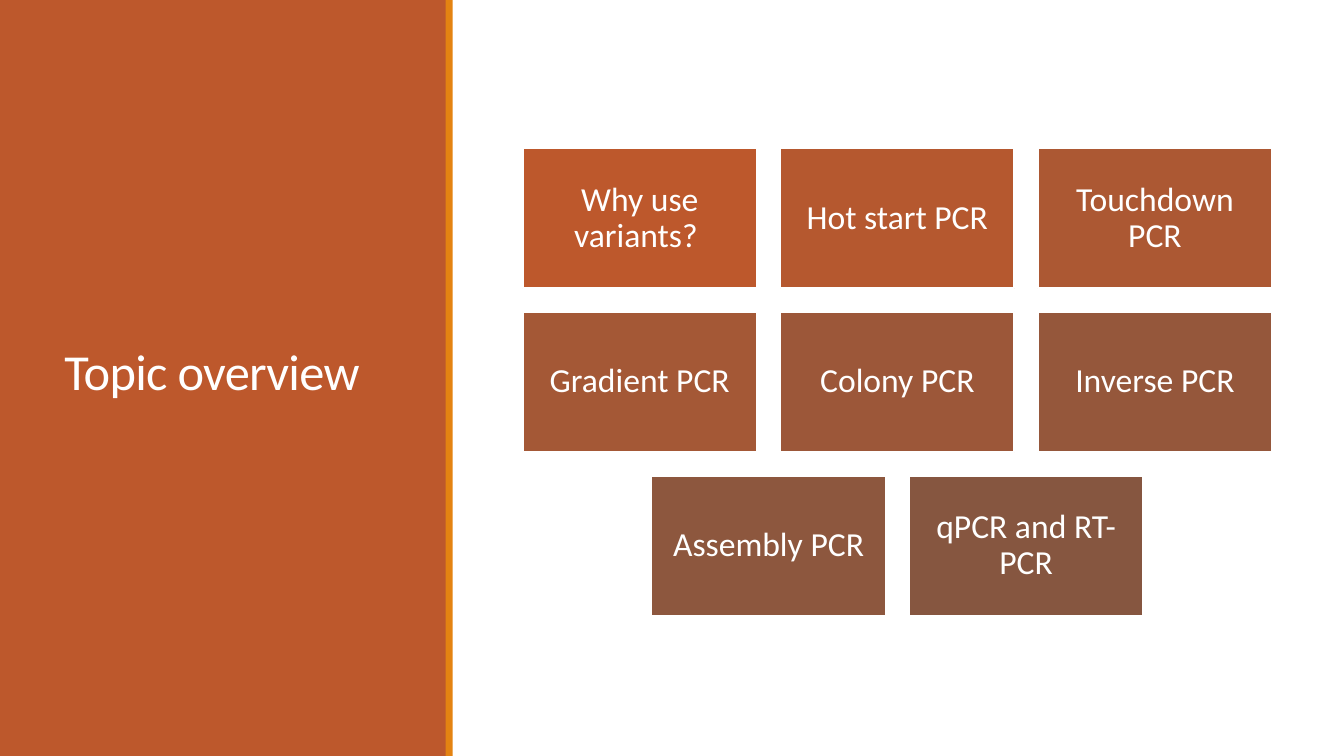
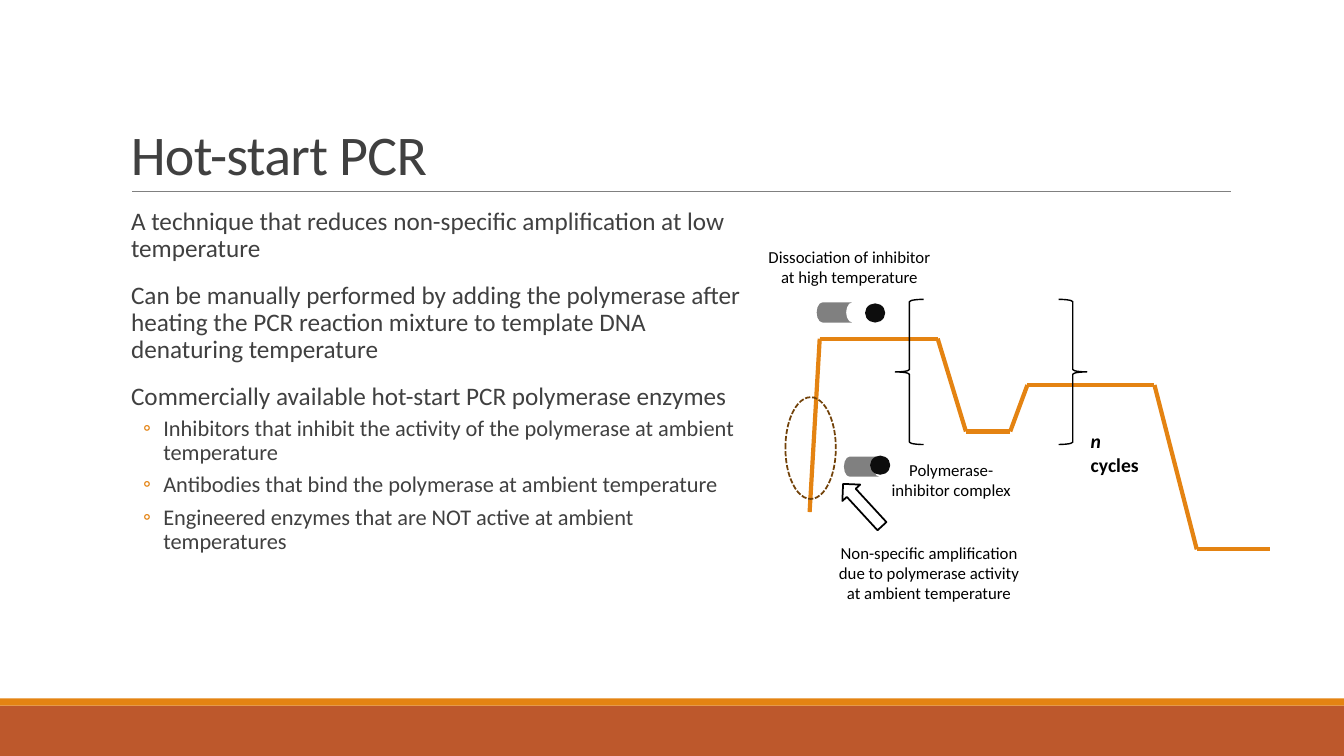
from itertools import pairwise

from lxml import etree
from pptx import Presentation, util as u
from pptx.dml.color import RGBColor
from pptx.enum import dml, shapes, text
from pptx.oxml.ns import qn

WIDTH, HEIGHT = 13.33, 7.5
FONT = "Calibri"
RUST = RGBColor(0xBD, 0x58, 0x2C)
ORANGE = RGBColor(0xE4, 0x83, 0x12)
BROWN = RGBColor(0x72, 0x42, 0x09)
WHITE = RGBColor(0xFF, 0xFF, 0xFF)
BLACK = RGBColor(0, 0, 0)
INK = RGBColor(0x40, 0x40, 0x40)
GREY = RGBColor(0x80, 0x80, 0x80)
NEAR_BLACK = RGBColor(0x0D, 0x0D, 0x0D)

KIND = shapes.MSO_SHAPE
CENTER = text.PP_ALIGN.CENTER
MIDDLE = text.MSO_ANCHOR.MIDDLE
BOTTOM = text.MSO_ANCHOR.BOTTOM

# Slide 1 content
TOPIC_ROWS = [
    [("Why use variants? ", RUST),
     ("Hot start PCR", RGBColor(0xB5, 0x58, 0x2F)),
     ("Touchdown PCR", RGBColor(0xAC, 0x58, 0x33))],
    [("Gradient PCR", RGBColor(0xA4, 0x58, 0x36)),
     ("Colony PCR", RGBColor(0x9C, 0x57, 0x39)),
     ("Inverse PCR", RGBColor(0x95, 0x57, 0x3B))],
    [("Assembly PCR", RGBColor(0x8D, 0x57, 0x3E)),
     ("qPCR and RT-PCR", RGBColor(0x86, 0x56, 0x40))],
]
GRID_CENTER, GRID_TOP = 8.9, 1.47
TILE_W, TILE_H, TILE_GAP = 2.32, 1.39, 0.235

# Slide 2 content: (level, text)
HOT_START_POINTS = [
    (0, "A technique that reduces non-specific amplification at low temperature"),
    (0, "Can be manually performed by adding the polymerase after heating the "
        "PCR reaction mixture to template DNA denaturing temperature"),
    (0, "Commercially available hot-start PCR polymerase enzymes"),
    (1, "Inhibitors that inhibit the activity of the polymerase at ambient temperature"),
    (1, "Antibodies that bind the polymerase at ambient temperature"),
    (1, "Engineered enzymes that are NOT active at ambient temperatures"),
]
LEVELS = [
    {"size": 18, "before": 12, "after": 2, "margin": 0.1, "indent": 0},
    {"size": 16, "before": 2, "after": 4, "margin": 0.42, "indent": -0.2, "bullet": "◦"},
]
TEMPERATURE_CURVE = [
    (8.03, 5.08), (8.13, 3.36), (8.86, 3.36), (9.3, 3.36), (9.58, 4.28), (10.02, 4.28),
    (10.19, 3.82), (11.45, 3.82), (11.87, 5.45), (12.6, 5.45),
]
CAPTIONS = [
    ("Non-specific amplification due to polymerase activity at ambient temperature",
     (8.21, 5.33, 2.01, 0.71)),
    ("Polymerase-inhibitor complex", (8.65, 4.51, 1.57, 0.5)),
    ("Dissociation of inhibitor at high temperature", (7.49, 2.4, 1.87, 0.5)),
]
# Left and top of the polymerase, then of its inhibitor
ENZYMES = [((8.37, 4.53), (8.63, 4.52)), ((8.1, 3), (8.58, 3.01))]


def inches(values):
    return [u.Inches(value) for value in values]


def add_figure(slide, kind, box, fill=None, line=None, weight=1.25):
    figure = slide.shapes.add_shape(kind, *inches(box))
    figure.shadow.inherit = False
    if fill is None:
        figure.fill.background()
    else:
        figure.fill.solid()
        figure.fill.fore_color.rgb = fill
    if line is None:
        figure.line.fill.background()
    else:
        figure.line.color.rgb = line
        figure.line.width = u.Pt(weight)
    return figure


def add_line(slide, start, end, color, weight):
    line = slide.shapes.add_connector(
        shapes.MSO_CONNECTOR.STRAIGHT, *inches(start + end))
    line.line.color.rgb = color
    line.line.width = u.Pt(weight)
    etree.SubElement(line._element.spPr, qn("a:effectLst"))


def add_frame(slide, box, anchor=text.MSO_ANCHOR.TOP):
    frame = slide.shapes.add_textbox(*inches(box)).text_frame
    frame.word_wrap = True
    frame.vertical_anchor = anchor
    return frame


def write(paragraph, wording, size, color, spacing=None, **formats):
    """Add a run; formats are font attributes such as bold or italic."""
    run = paragraph.add_run()
    run.text = wording
    formats = {"name": FONT, "size": u.Pt(size), **formats}
    for name, value in formats.items():
        setattr(run.font, name, value)
    run.font.color.rgb = color
    if spacing:
        run.font._element.set("spc", str(spacing))


def add_title(slide, wording, box, size, color, anchor):
    paragraph = add_frame(slide, box, anchor).paragraphs[0]
    paragraph.line_spacing = 0.85
    write(paragraph, wording, size, color, spacing=-50)


def add_bands(slide, main_box, edge_box):
    """Draw the rust band and its orange edge."""
    for box, color in ((main_box, RUST), (edge_box, ORANGE)):
        add_figure(slide, KIND.RECTANGLE, box, color)


def indent(paragraph, level):
    properties = paragraph._p.get_or_add_pPr()
    for name, value in (("marL", level["margin"]), ("indent", level["indent"])):
        properties.set(name, str(u.Inches(value)))
    if "bullet" in level:
        color = etree.SubElement(properties, qn("a:buClr"))
        etree.SubElement(color, qn("a:srgbClr"), val=str(ORANGE))
        etree.SubElement(properties, qn("a:buFont"), typeface=FONT)
        etree.SubElement(properties, qn("a:buChar"), char=level["bullet"])


def build_overview(slide):
    add_bands(slide, (0, 0, 4.43, HEIGHT), (4.42, 0, 0.07, HEIGHT))
    add_title(slide, "Topic overview", (0.54, 0.57, 3.37, 6.31), 36, WHITE, MIDDLE)
    for row, topics in enumerate(TOPIC_ROWS):
        row_width = len(topics) * (TILE_W + TILE_GAP) - TILE_GAP
        left = GRID_CENTER - row_width / 2
        top = GRID_TOP + row * (TILE_H + TILE_GAP)
        for column, (topic, color) in enumerate(topics):
            box = (left + column * (TILE_W + TILE_GAP), top, TILE_W, TILE_H)
            tile = add_figure(slide, KIND.RECTANGLE, box, color, WHITE)
            frame = tile.text_frame
            frame.word_wrap = True
            frame.vertical_anchor = MIDDLE
            for side in ("left", "top", "right", "bottom"):
                setattr(frame, f"margin_{side}", u.Inches(0.1))
            paragraph = frame.paragraphs[0]
            paragraph.alignment = CENTER
            paragraph.line_spacing = 0.9
            write(paragraph, topic, 24, WHITE)


def add_points(slide):
    frame = add_frame(slide, (1.2, 2.02, 6.29, 4.4))
    frame.margin_left = frame.margin_right = 0
    for number, (depth, wording) in enumerate(HOT_START_POINTS):
        paragraph = frame.add_paragraph() if number else frame.paragraphs[0]
        level = LEVELS[depth]
        formats = {"level": depth, "line_spacing": 0.9,
                   "space_before": u.Pt(level["before"]),
                   "space_after": u.Pt(level["after"])}
        for name, value in formats.items():
            setattr(paragraph, name, value)
        indent(paragraph, level)
        write(paragraph, wording, level["size"], INK)


def add_cycle_diagram(slide):
    for start, end in pairwise(TEMPERATURE_CURVE):
        add_line(slide, start, end, ORANGE, 3)
    for brace, left in ((KIND.LEFT_BRACE, 8.88), (KIND.RIGHT_BRACE, 10.5)):
        add_figure(slide, brace, (left, 2.97, 0.28, 1.44), line=BLACK, weight=1)

    cycles = add_frame(slide, (10.72, 4.21, 0.76, 0.57)).paragraphs[0]
    write(cycles, "n ", 14, BLACK, bold=True, italic=True)
    write(cycles, "cycles", 14, BLACK, bold=True)

    ambient_zone = add_figure(slide, KIND.OVAL, (7.79, 3.94, 0.5, 1.01), line=BROWN)
    ambient_zone.line.dash_style = dml.MSO_LINE.SQUARE_DOT
    pointer = add_figure(slide, KIND.RIGHT_ARROW, (8.27, 4.89, 0.57, 0.24), line=BLACK)
    pointer.rotation = 227.4

    for wording, box in CAPTIONS:
        caption = add_frame(slide, box).paragraphs[0]
        caption.alignment = CENTER
        write(caption, wording, 12, BLACK)
    for polymerase, inhibitor in ENZYMES:
        add_figure(slide, KIND.FLOWCHART_STORED_DATA, polymerase + (0.35, 0.2), GREY)
        add_figure(slide, KIND.OVAL, inhibitor + (0.2, 0.19), NEAR_BLACK)


def build_hot_start(slide):
    add_bands(slide, (0, 7, WIDTH, 0.5), (0, 6.93, WIDTH, 0.07))
    add_line(slide, (1.31, 1.9), (12.21, 1.9), GREY, 0.5)
    add_title(slide, "Hot-start PCR", (1.2, 0.31, 11, 1.59), 40, INK, BOTTOM)
    add_points(slide)
    add_cycle_diagram(slide)


def main():
    deck = Presentation()
    deck.slide_width, deck.slide_height = inches((WIDTH, HEIGHT))
    for build in (build_overview, build_hot_start):
        build(deck.slides.add_slide(deck.slide_layouts[6]))
    deck.save("out.pptx")


if __name__ == "__main__":
    main()
